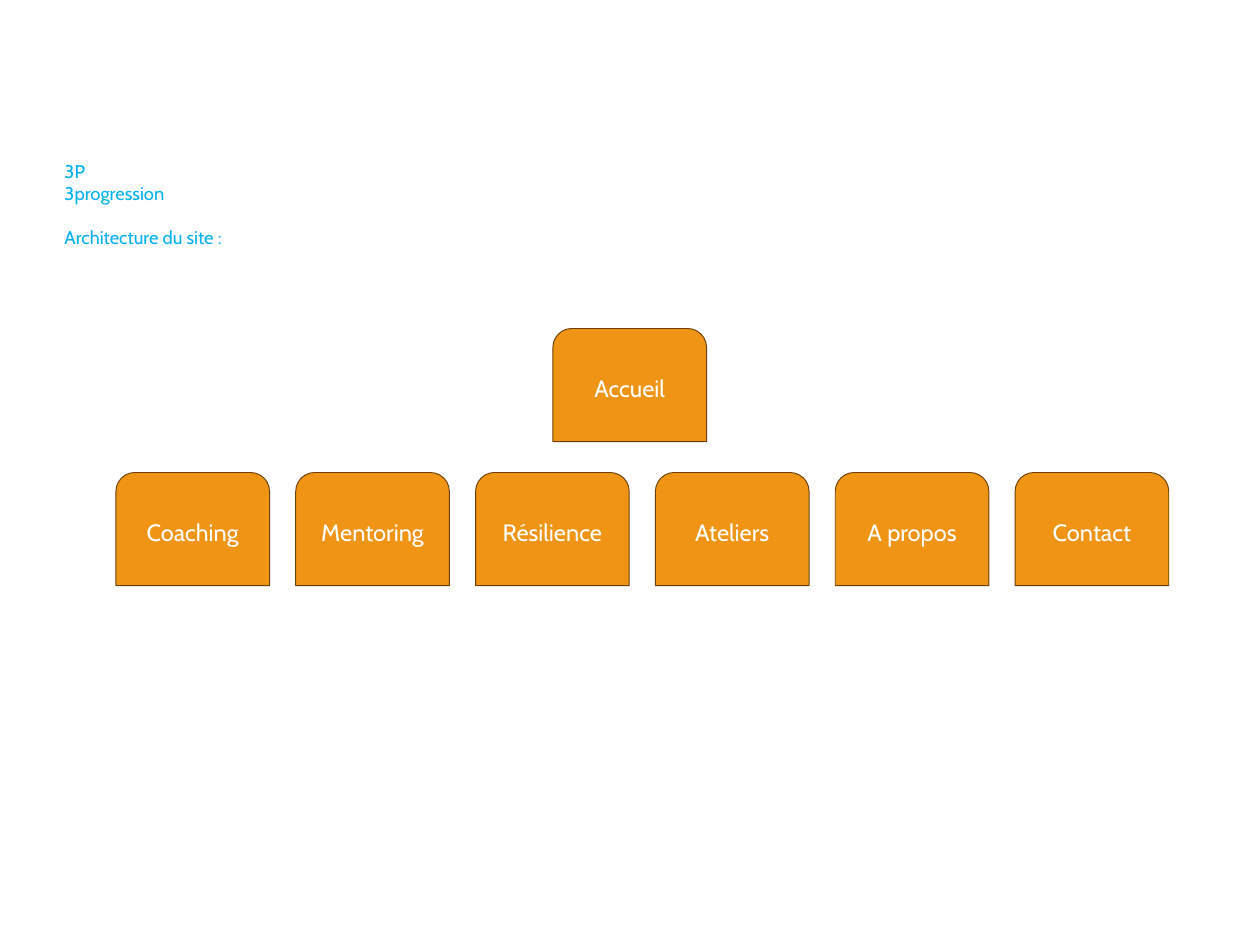
from dataclasses import dataclass

from pptx import Presentation
from pptx.dml.color import RGBColor
from pptx.enum.shapes import MSO_SHAPE
from pptx.enum.text import MSO_ANCHOR, MSO_AUTO_SIZE, PP_ALIGN
from pptx.slide import Slide
from pptx.text.text import TextFrame
from pptx.util import Inches, Pt

COLORS = {"white": "FFFFFF", "heading": "00B0F0", "page": "F09415", "outline": "694109"}
FONT = "Cabin"
HEADING_SIZE, PAGE_SIZE = 19.3, 24.8
HEADING_LINES = ["3P", "3progression", "Architecture du site :"]

# Grid of site pages, in inches
GRID_LEFT, GRID_TOP = 1.69, 4.79
COLUMN_STEP, ROW_STEP = 2.622, 2.1
PAGE_WIDTH, PAGE_HEIGHT = 2.24, 1.65


@dataclass(frozen=True)
class SitePage:
    label: str
    column: float
    row: int


SECTIONS = ["Coaching", "Mentoring", "Résilience", "Ateliers", "A propos", "Contact"]
SITE_PAGES = [SitePage("Accueil", 2.43, 0)] + [
    SitePage(label, column, 1) for column, label in enumerate(SECTIONS)
]


def color(name: str) -> RGBColor:
    return RGBColor.from_string(COLORS[name])


def format_text(text_frame: TextFrame, size: float, color_name: str,
                alignment: PP_ALIGN, anchor: MSO_ANCHOR) -> None:
    text_frame.word_wrap = True
    text_frame.auto_size = MSO_AUTO_SIZE.NONE
    text_frame.vertical_anchor = anchor
    for paragraph in text_frame.paragraphs:
        paragraph.alignment = alignment
        for run in paragraph.runs:
            run.font.name = FONT
            run.font.size = Pt(size)
            run.font.color.rgb = color(color_name)


def add_heading(slide: Slide) -> None:
    title = slide.shapes.title
    title.left, title.top = Inches(0.84), Inches(2.28)
    title.width, title.height = Inches(16.7), Inches(8.54)
    title.fill.solid()
    title.fill.fore_color.rgb = color("white")
    title.text_frame.text = "\n".join(HEADING_LINES)
    format_text(title.text_frame, HEADING_SIZE, "heading", PP_ALIGN.LEFT, MSO_ANCHOR.TOP)
    title.text_frame.paragraphs[-1].space_before = Pt(23.45)


def add_site_page(slide: Slide, page: SitePage) -> None:
    shape = slide.shapes.add_shape(
        MSO_SHAPE.ROUND_2_SAME_RECTANGLE,
        Inches(GRID_LEFT + page.column * COLUMN_STEP),
        Inches(GRID_TOP + page.row * ROW_STEP),
        Inches(PAGE_WIDTH),
        Inches(PAGE_HEIGHT),
    )
    shape.shadow.inherit = False
    shape.fill.solid()
    shape.fill.fore_color.rgb = color("page")
    shape.line.color.rgb = color("outline")
    shape.line.width = Pt(1)
    shape.text_frame.text = page.label
    format_text(shape.text_frame, PAGE_SIZE, "white", PP_ALIGN.CENTER, MSO_ANCHOR.MIDDLE)


def main() -> None:
    presentation = Presentation()
    presentation.slide_width = Inches(18.37)
    presentation.slide_height = Inches(13.78)
    title_only = presentation.slide_layouts.get_by_name("Title Only")
    slide = presentation.slides.add_slide(title_only)
    add_heading(slide)
    for page in SITE_PAGES:
        add_site_page(slide, page)
    presentation.save("out.pptx")


if __name__ == "__main__":
    main()
